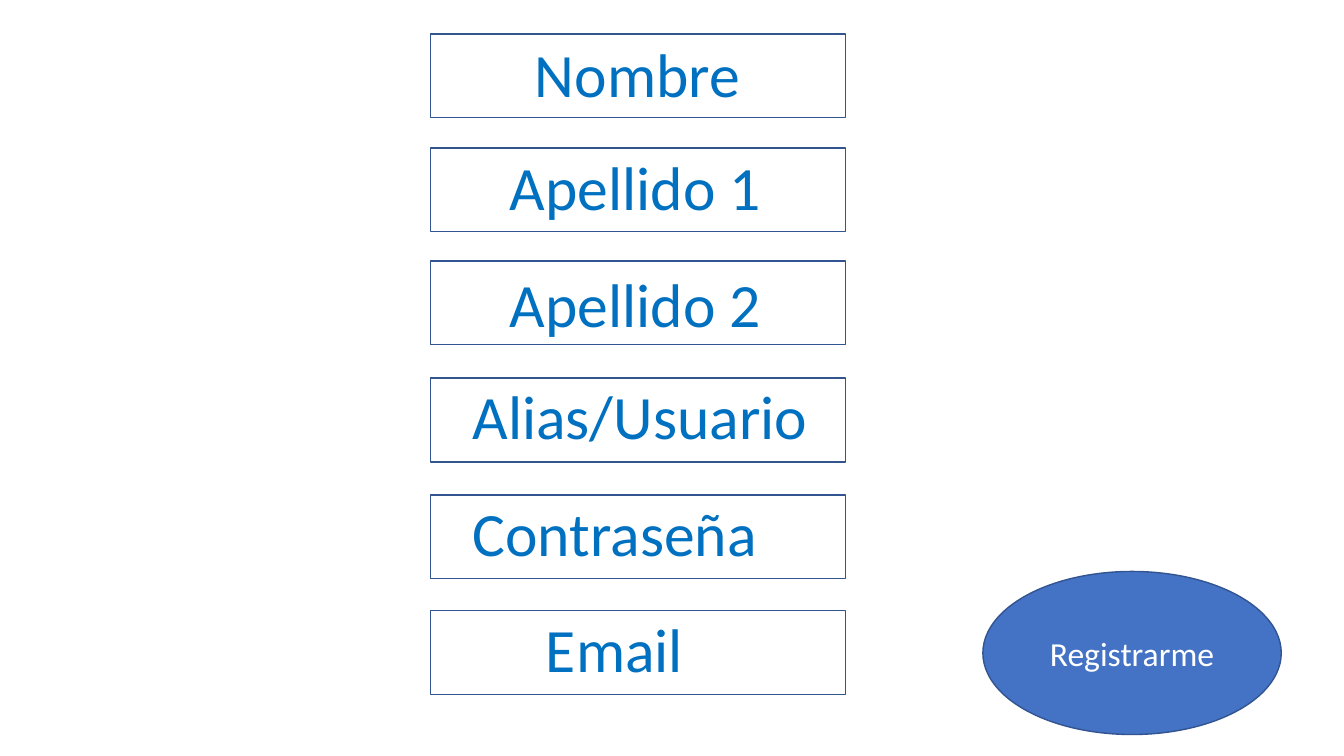
from pptx import Presentation
from pptx.dml.color import RGBColor
from pptx.enum.shapes import MSO_SHAPE
from pptx.enum.text import MSO_ANCHOR, PP_ALIGN
from pptx.util import Cm, Pt

RECT = MSO_SHAPE.RECTANGLE
OVAL = MSO_SHAPE.OVAL
MIDDLE = MSO_ANCHOR.MIDDLE
LEFT = PP_ALIGN.LEFT
CENTER = PP_ALIGN.CENTER

COLORS = {"edge": "325491", "button": "4472C4", "label": "0070C0", "white": "FFFFFF"}

FIELDS = [
    ("Nombre", 0.86, 13.23, 0.61),
    ("Apellido 1", 3.73, 12.6, 3.45),
    ("Apellido 2", 6.58, 12.6, 6.4),
    ("Alias/Usuario", 9.53, 11.66, 9.22),
    ("Contraseña", 12.47, 11.66, 12.17),
    ("Email", 15.39, 13.51, 15.11),
]


def color(name):
    return RGBColor.from_string(COLORS[name])


def apply(target, values):
    for name, value in values.items():
        setattr(target, name, value)


def write(shape, text, size, ink, para):
    frame = shape.text_frame
    apply(frame, {"word_wrap": True, "vertical_anchor": MIDDLE})
    line = frame.paragraphs[0]
    apply(line, para)
    run = line.add_run()
    run.text = text
    apply(run.font, {"name": "Calibri", "size": Pt(size)})
    run.font.color.rgb = color(ink)


def add_shape(slide, kind, box, fill=None):
    shape = slide.shapes.add_shape(kind, *map(Cm, box))
    shape.shadow.inherit = False
    if fill:
        shape.fill.solid()
        shape.fill.fore_color.rgb = color(fill)
    else:
        shape.fill.background()
    shape.line.color.rgb = color("edge")
    shape.line.width = Pt(1)
    return shape


def add_label(slide, text, left, top):
    label = slide.shapes.add_textbox(Cm(left), Cm(top), Cm(14.05), Cm(2.69))
    write(label, text, 44, "label", {"alignment": LEFT, "line_spacing": 0.9})


def add_button(slide, text, box):
    button = add_shape(slide, OVAL, box, "button")
    write(button, text, 24, "white", {"alignment": CENTER})


def main():
    deck = Presentation()
    apply(deck, {"slide_width": Cm(33.87), "slide_height": Cm(19.05)})
    slide = deck.slides.add_slide(deck.slide_layouts[6])
    for text, top, left, label_top in FIELDS:
        add_shape(slide, RECT, (10.85, top, 10.46, 2.11))
    add_button(slide, "Registrarme", (24.77, 14.4, 7.52, 4.11))
    for text, top, left, label_top in FIELDS:
        add_label(slide, text, left, label_top)
    deck.save("out.pptx")


if __name__ == "__main__":
    main()
